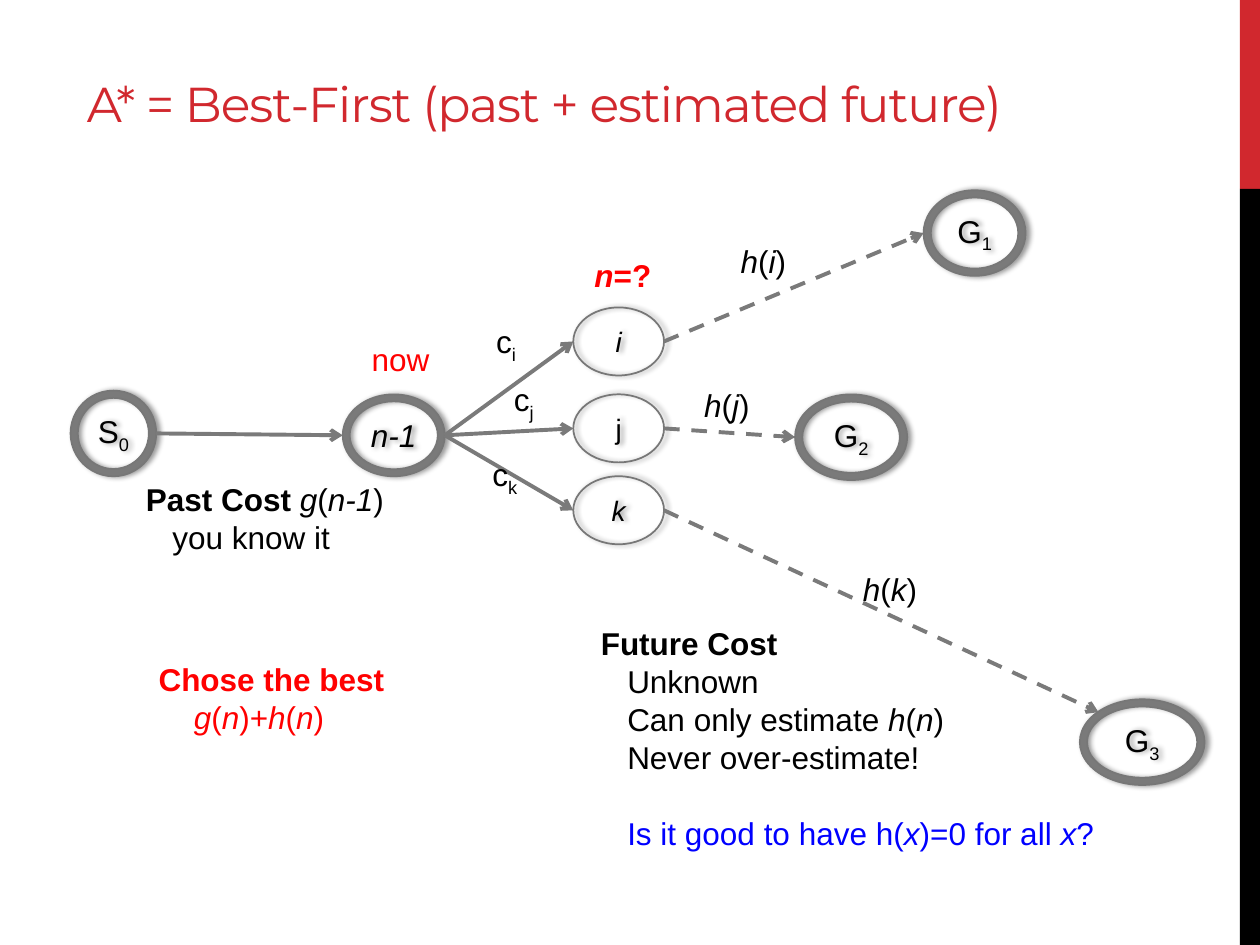
from lxml import etree
from pptx import Presentation
from pptx.dml.color import RGBColor
from pptx.enum.dml import MSO_LINE
from pptx.enum.shapes import MSO_CONNECTOR, MSO_SHAPE
from pptx.enum.text import MSO_ANCHOR, PP_ALIGN
from pptx.oxml import parse_xml
from pptx.oxml.ns import qn
from pptx.util import Inches, Pt

DONUT, ELLIPSE, RECTANGLE = MSO_SHAPE.DONUT, MSO_SHAPE.OVAL, MSO_SHAPE.RECTANGLE
STRAIGHT, DASH = MSO_CONNECTOR.STRAIGHT, MSO_LINE.DASH
TOP, MIDDLE, BOTTOM = MSO_ANCHOR.TOP, MSO_ANCHOR.MIDDLE, MSO_ANCHOR.BOTTOM
LEFT, CENTER = PP_ALIGN.LEFT, PP_ALIGN.CENTER
BLACK, RED, BLUE, GRAY, OUTLINE, ACCENT = "000000", "FF0000", "0000FF", "7A7A7A", "777777", "D1282E"
SHADOW = (
    '<a:effectLst xmlns:a="http://schemas.openxmlformats.org/drawingml/2006/main">'
    '<a:outerShdw blurRad="39370" dist="22860" dir="0" rotWithShape="0">'
    '<a:srgbClr val="000000"><a:alpha val="40000"/></a:srgbClr>'
    "</a:outerShdw></a:effectLst>"
)


def color(value):
    return RGBColor.from_string(value)


def add_runs(paragraph, runs, text_color, size=18):
    for text, style in runs:
        run = paragraph.add_run()
        run.text = text
        formats = {"name": "Arial", "size": Pt(size), "bold": "b" in style, "italic": "i" in style}
        for attribute, value in formats.items():
            setattr(run.font, attribute, value)
        run.font.color.rgb = color(text_color)
        if "s" in style:
            run.font._element.set("baseline", "-25000")


presentation = Presentation()
presentation.slide_width, presentation.slide_height = Inches(10), Inches(7.5)
slide = presentation.slides.add_slide(presentation.slide_layouts[5])
shapes = slide.shapes

title = shapes.title
title_box = {"left": 0.59, "top": 0.31, "width": 8.48, "height": 0.79}
for attribute, value in title_box.items():
    setattr(title, attribute, Inches(value))
title.text_frame.vertical_anchor = BOTTOM
title_paragraph = title.text_frame.paragraphs[0]
title_paragraph.alignment = LEFT
title_run = title_paragraph.add_run()
title_run.text = "A* = Best-First (past + estimated future)"
title_run.font.name, title_run.font.size = "Montserrat", Pt(28)
title_run.font.color.rgb = color(ACCENT)
title_run.font._element.set("spc", "-60")

for top, height, fill in [(0, 1.5, ACCENT), (1.5, 6, BLACK)]:
    bar = shapes.add_shape(RECTANGLE, Inches(9.84), Inches(top), Inches(0.16), Inches(height))
    bar.shadow.inherit = False
    bar.fill.solid()
    bar.fill.fore_color.rgb = color(fill)
    bar.line.fill.background()

nodes = {
    "S0": (DONUT, 0.56, 3.1, 0.68, 0.68, [("S", ""), ("0", "s")]),
    "n-1": (DONUT, 2.72, 3.13, 0.81, 0.65, [("n-1", "i")]),
    "G3": (DONUT, 8.57, 5.55, 0.99, 0.68, [("G", ""), ("3", "s")]),
    "G2": (DONUT, 6.31, 3.13, 0.89, 0.68, [("G", ""), ("2", "s")]),
    "G1": (DONUT, 7.33, 1.51, 0.81, 0.68, [("G", ""), ("1", "s")]),
    "i": (ELLIPSE, 4.55, 2.44, 0.72, 0.54, [("i", "i")]),
    "j": (ELLIPSE, 4.55, 3.13, 0.72, 0.54, [("j", "")]),
    "k": (ELLIPSE, 4.55, 3.78, 0.72, 0.54, [("k", "i")]),
}
for kind, left, top, width, height, runs in nodes.values():
    node = shapes.add_shape(kind, Inches(left), Inches(top), Inches(width), Inches(height))
    if kind == DONUT:
        node.adjustments[0] = 0.085
        node.fill.solid()
        node.fill.fore_color.rgb = color(GRAY)
    else:
        node.fill.background()
    node.line.color.rgb, node.line.width = color(OUTLINE), Pt(1)
    node._element.spPr.append(parse_xml(SHADOW))
    frame = node.text_frame
    frame.vertical_anchor, frame.word_wrap = MIDDLE, False
    frame.paragraphs[0].alignment = CENTER
    add_runs(frame.paragraphs[0], runs, BLACK, 18 if kind == DONUT else 16)

SIDE, CORNER = (0, 0.5), (0.15, 0.15)
links = [
    ("S0", "n-1", SIDE, False),
    ("n-1", "i", SIDE, False),
    ("n-1", "j", SIDE, False),
    ("n-1", "k", SIDE, False),
    ("i", "G1", SIDE, True),
    ("j", "G2", SIDE, True),
    ("k", "G3", CORNER, True),
]
for source, target, (across, down), dashed in links:
    left, top, width, height = nodes[source][1:5]
    start = Inches(left + width), Inches(top + height / 2)
    left, top, width, height = nodes[target][1:5]
    end = Inches(left + across * width), Inches(top + down * height)
    link = shapes.add_connector(STRAIGHT, *start, *end)
    link.line.color.rgb, link.line.width = color(GRAY), Pt(2.25)
    if dashed:
        link.line.dash_style = DASH
    etree.SubElement(link.line._get_or_add_ln(), qn("a:tailEnd"), type="arrow")
    etree.SubElement(link._element.spPr, qn("a:effectLst"))

labels = [
    (2.85, 2.65, 0.68, RED, [("now", "")]),
    (4.62, 1.98, 0.67, RED, [("n", "bi"), ("=?", "b")]),
]
for left, top, width, name in [(5.78, 1.87, 0.58, "i"), (5.49, 3.01, 0.58, "j"), (6.75, 4.47, 0.65, "k")]:
    labels.append((left, top, width, BLACK, [("h", "i"), ("(", ""), (name, "i"), (")", "")]))
for left, top, width, name in [(3.84, 2.55, 0.37, "i"), (3.98, 3.01, 0.37, "j"), (3.81, 3.6, 0.41, "k")]:
    labels.append((left, top, width, BLACK, [("c", ""), (name, "s")]))

LINE = 21.7
texts = [(left, top, width, 0.4, [(0, 0, ink, runs)]) for left, top, width, ink, runs in labels]
texts += [
    (1.06, 3.76, 2.3, 0.71, [
        (0, 0, BLACK, [("Past Cost ", "b"), ("g", "i"), ("(", ""), ("n-1", "i"), (")", "")]),
        (0.21, 0, BLACK, [("you know it", "")]),
    ]),
    (4.67, 4.9, 4.15, 1.92, [
        (0, 0, BLACK, [("Future Cost", "b")]),
        (0.21, 0, BLACK, [("Unknown", "")]),
        (0.21, 0, BLACK, [("Can only estimate ", ""), ("h", "i"), ("(", ""), ("n", "i"), (")", "")]),
        (0.21, 0, BLACK, [("Never over-estimate!", "")]),
        (0.21, LINE, BLUE, [("Is it good to have h(", ""), ("x", "i"), (")=0 for all ", ""), ("x", "i"), ("?", "")]),
    ]),
    (1.16, 5.19, 2.01, 0.71, [
        (0, 0, RED, [("Chose the best", "b")]),
        (0.28, 0, RED, [("g", "i"), ("(", ""), ("n", "i"), (")+", ""), ("h", "i"), ("(", ""), ("n", "i"), (")", "")]),
    ]),
]
for left, top, width, height, paragraphs in texts:
    box = shapes.add_textbox(Inches(left), Inches(top), Inches(width), Inches(height))
    frame = box.text_frame
    frame.vertical_anchor, frame.word_wrap = TOP, False
    for index, (indent, gap, ink, runs) in enumerate(paragraphs):
        paragraph = frame.add_paragraph() if index else frame.paragraphs[0]
        formats = {"alignment": LEFT, "line_spacing": Pt(LINE), "space_before": Pt(gap)}
        for attribute, value in formats.items():
            setattr(paragraph, attribute, value)
        paragraph._p.get_or_add_pPr().set("marL", str(Inches(indent)))
        add_runs(paragraph, runs, ink)

presentation.save("out.pptx")
